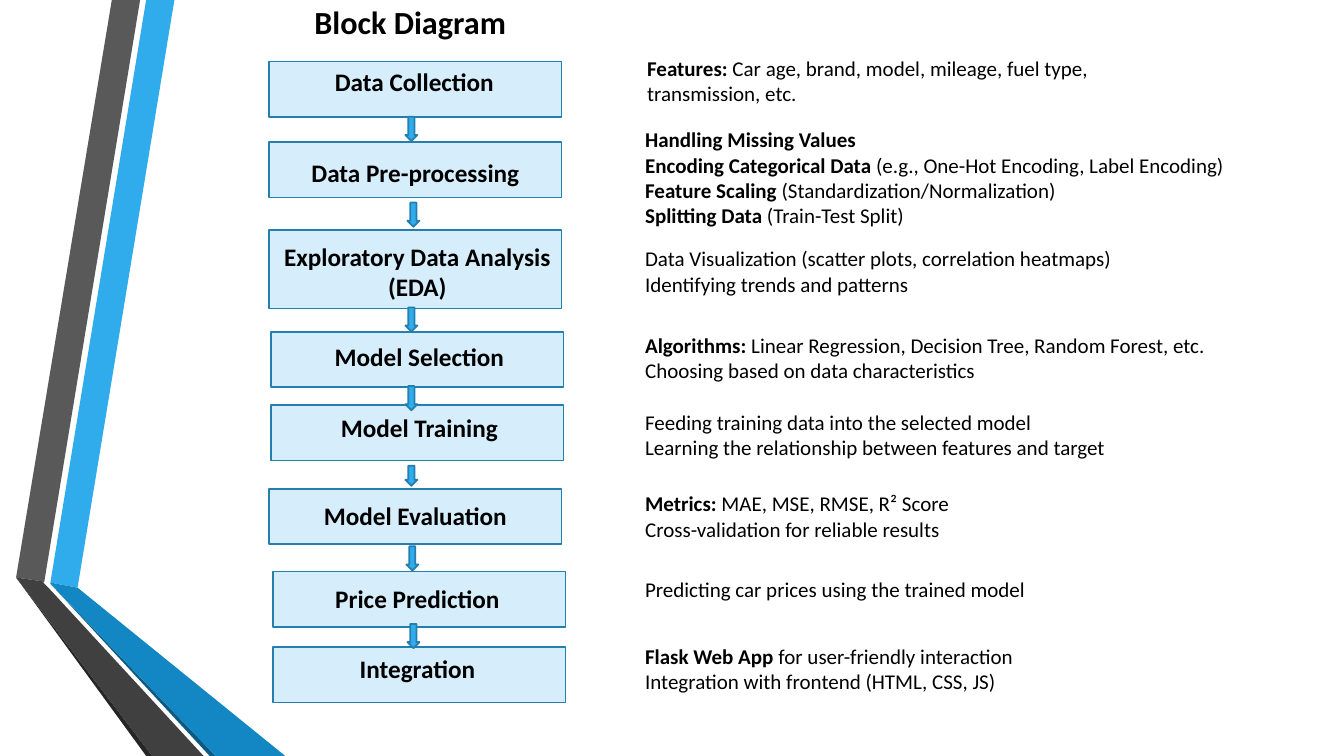
import pptx
import pptx.dml.color
import pptx.enum.shapes
import pptx.enum.text
import pptx.util

PX = 9144  # one px is a hundredth of an inch
FONT = "Calibri"
BLUE, EDGE, PALE, BLACK = "30ACEC", "247FAF", "D6EEFB", "000000"
SHAPE = pptx.enum.shapes.MSO_SHAPE
ALIGN = pptx.enum.text.PP_ALIGN

# Side ribbon: colour and corner points
BANDS = [
    (BLUE, [(50, 578), (77, 583), (173, 0), (145, 0)]),
    ("595959", [(139, 0), (111, 0), (16, 573), (44, 577)]),
    ("262626", [(16, 573), (145, 750), (151, 750)]),
    ("0C5A82", [(50, 579), (208, 750), (214, 750)]),
    ("1287C3", [(50, 579), (214, 750), (283, 750), (77, 583), (50, 578)]),
    ("404040", [(202, 750), (48, 583), (43, 578), (44, 577), (16, 573), (151, 750)]),
]

# Steps: name, box (x, y, h), label (shift x, shift y, w, h),
# note (x, y, w, h), note lines as (bold part, plain part)
STEPS = [
    ("Data Collection", (267, 61, 55), (0, 0, 288, 71), (582, 50, 508, 91),
     [("Features:", " Car age, brand, model, mileage, fuel type, transmission, etc.")]),
    ("Data Pre-processing", (267, 141, 55), (0, 10, 290, 40), (580, 121, 742, 111),
     [("Handling Missing Values", ""),
      ("Encoding Categorical Data", " (e.g., One-Hot Encoding, Label Encoding)"),
      ("Feature Scaling", " (Standardization/Normalization)"),
      ("Splitting Data", " (Train-Test Split)")]),
    ("Exploratory Data Analysis (EDA)", (267, 228, 78), (2, 6, 290, 71), (580, 239, 667, 61),
     [("", "Data Visualization (scatter plots, correlation heatmaps)"),
      ("", "Identifying trends and patterns")]),
    ("Model Selection", (269, 329, 55), (2, 5, 290, 40), (580, 325, 667, 61),
     [("Algorithms:", " Linear Regression, Decision Tree, Random Forest, etc."),
      ("", "Choosing based on data characteristics")]),
    ("Model Training", (269, 402, 55), (2, 2, 290, 40), (580, 401, 667, 61),
     [("", "Feeding training data into the selected model"),
      ("", "Learning the relationship between features and target")]),
    ("Model Evaluation", (267, 485, 55), (0, 6, 290, 40), (580, 482, 667, 61),
     [("Metrics:", " MAE, MSE, RMSE, R² Score"),
      ("", "Cross-validation for reliable results")]),
    ("Price Prediction", (271, 567, 55), (-2, 7, 290, 40), (580, 567, 457, 35),
     [("", "Predicting car prices using the trained model")]),
    ("Integration", (271, 642, 55), (1, 1, 284, 40), (580, 633, 448, 61),
     [("Flask Web App ", "for user-friendly interaction"),
      ("", "Integration with frontend (HTML, CSS, JS)")]),
]

# Arrows between steps: x, y, h
ARROWS = [(402, 116, 24), (404, 201, 24), (402, 305, 24), (402, 383, 24),
          (402, 462, 20), (403, 542, 24), (404, 619, 24)]


def color(code):
    return pptx.dml.color.RGBColor.from_string(code)


def paint(shape, fill, edge=None):
    shape.shadow.inherit = False
    shape.fill.solid()
    shape.fill.fore_color.rgb = color(fill)
    if edge:
        shape.line.color.rgb = color(edge)
        shape.line.width = pptx.util.Pt(1.25)
    else:
        shape.line.fill.background()


def block(slide, kind, box, fill):
    shape = slide.shapes.add_shape(kind, *[n * PX for n in box])
    paint(shape, fill, EDGE)


def text(slide, box, lines, size, align=ALIGN.LEFT, inset=0):
    frame = slide.shapes.add_textbox(*[n * PX for n in box]).text_frame
    frame.word_wrap = True
    for i, parts in enumerate(lines):
        para = frame.paragraphs[0] if i == 0 else frame.add_paragraph()
        para.alignment = align
        if inset:
            para.level = 1
            props = para._p.get_or_add_pPr()
            props.set("marL", str(inset * PX))
            props.set("indent", "0")
        for words, bold in zip(parts, (True, False)):
            if words:
                run = para.add_run()
                run.text = words
                run.font.name = FONT
                run.font.size = pptx.util.Pt(size)
                run.font.bold = bold
                run.font.color.rgb = color(BLACK)


def ribbon(slide):
    for fill, points in BANDS:
        form = slide.shapes.build_freeform(*points[0], scale=PX)
        form.add_line_segments(points[1:], close=True)
        paint(form.convert_to_shape(), fill)


def step(slide, name, box, label, note, lines):
    x, y, h = box
    dx, dy, wide, high = label
    block(slide, SHAPE.RECTANGLE, (x, y, 290, h), PALE)
    text(slide, (x + dx, y + dy, wide, high), [(name, "")], 18, ALIGN.CENTER)
    text(slide, note, lines, 15, inset=50)


def main():
    deck = pptx.Presentation()
    deck.slide_width, deck.slide_height = 1333 * PX, 750 * PX
    slide = deck.slides.add_slide(deck.slide_layouts[6])

    # Background ribbon
    ribbon(slide)
    # Flow of steps with notes
    for row in STEPS:
        step(slide, *row)
    for x, y, h in ARROWS:
        block(slide, SHAPE.DOWN_ARROW, (x, y, 12, h), BLUE)
    # Title
    text(slide, (302, -3, 224, 49), [("Block Diagram", "")], 23)

    deck.save("out.pptx")


if __name__ == "__main__":
    main()
